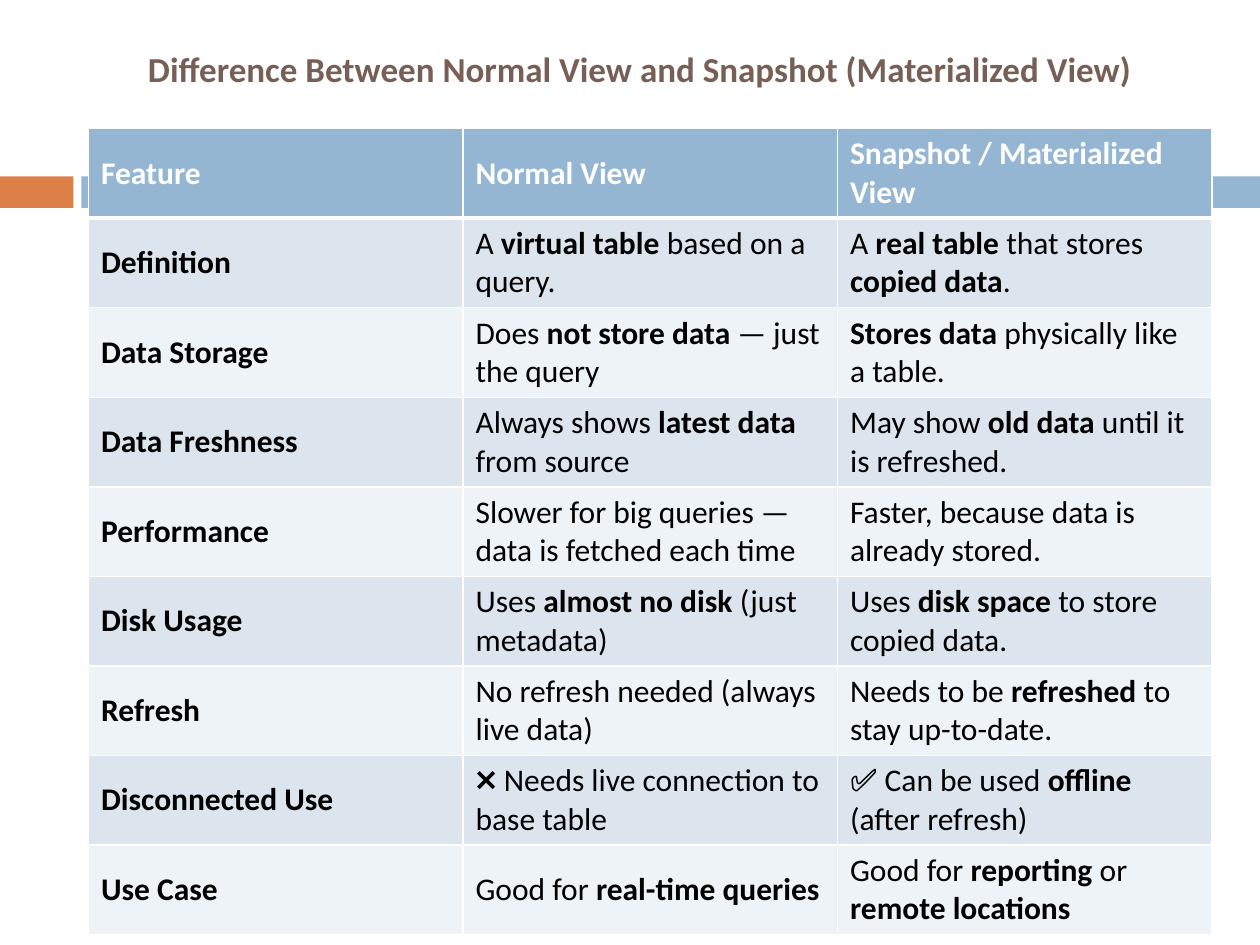
from lxml.etree import SubElement
from pptx import Presentation
from pptx.dml.color import RGBColor
from pptx.enum.shapes import MSO_SHAPE
from pptx.enum.text import MSO_ANCHOR, MSO_AUTO_SIZE, PP_ALIGN
from pptx.oxml.ns import qn
from pptx.util import Pt

COLORS = {
    "accent": "DD8047",
    "header": "94B6D2",
    "odd": "DCE5EE",
    "even": "EEF3F7",
    "heading": "775F55",
    "text": "000000",
    "white": "FFFFFF",
}

HEADINGS = ["Feature", "Normal View", "Snapshot / Materialized View"]
COMPARISON = [
    ("Definition", "A **virtual table** based on a query.",
     "A **real table** that stores **copied data**."),
    ("Data Storage", "Does **not store data** — just the query",
     "**Stores data** physically like a table."),
    ("Data Freshness", "Always shows **latest data** from source",
     "May show **old data** until it is refreshed."),
    ("Performance", "Slower for big queries — data is fetched each time",
     "Faster, because data is already stored."),
    ("Disk Usage", "Uses **almost no disk** (just metadata)",
     "Uses **disk space** to store copied data."),
    ("Refresh", "No refresh needed (always live data)",
     "Needs to be **refreshed** to stay up-to-date."),
    ("Disconnected Use", "❌ Needs live connection to base table",
     "✅ Can be used **offline** (after refresh)"),
    ("Use Case", "Good for **real-time queries**",
     "Good for **reporting** or **remote locations**"),
]


def color(name):
    return RGBColor.from_string(COLORS[name])


def write(frame, text, *, size=18, fill="text", bold=False, align=PP_ALIGN.LEFT, font="Calibri"):
    paragraph = frame.paragraphs[0]
    paragraph.alignment = align
    for index, part in enumerate(text.split("**")):
        if part:
            run = paragraph.add_run()
            run.text = part
            run.font.name = font
            run.font.size = Pt(size)
            run.font.bold = bold or index % 2 == 1
            run.font.color.rgb = color(fill)


class SlideBuilder:
    def __init__(self, slide):
        self.slide = slide

    def title(self, text, left, top, width, height):
        heading = self.slide.shapes.title
        heading.left, heading.top = Pt(left), Pt(top)
        heading.width, heading.height = Pt(width), Pt(height)
        frame = heading.text_frame
        frame.word_wrap = True
        frame.auto_size = MSO_AUTO_SIZE.NONE
        frame.vertical_anchor = MSO_ANCHOR.MIDDLE
        write(frame, text, size=20, fill="heading", bold=True, align=PP_ALIGN.CENTER)

    def band(self, fill, left, top, width, height):
        band = self.slide.shapes.add_shape(
            MSO_SHAPE.RECTANGLE, Pt(left), Pt(top), Pt(width), Pt(height))
        band.shadow.inherit = False
        band.fill.solid()
        band.fill.fore_color.rgb = color(fill)
        band.line.fill.background()

    def borders(self, cell, widths):
        properties = cell._tc.get_or_add_tcPr()
        for position, (side, width) in enumerate(widths.items()):
            line = properties.makeelement(qn(f"a:ln{side}"), {"w": str(int(Pt(width)))})
            solid = SubElement(line, qn("a:solidFill"))
            SubElement(solid, qn("a:srgbClr"), val=COLORS["white"])
            properties.insert(position, line)

    def cell(self, cell, text, background, top=1, bottom=1, **style):
        cell.fill.solid()
        cell.fill.fore_color.rgb = color(background)
        cell.vertical_anchor = MSO_ANCHOR.MIDDLE
        write(cell.text_frame, text, **style)
        self.borders(cell, {"L": 1, "R": 1, "T": top, "B": bottom})

    def table(self, headings, rows, left, top, column_width, row_height):
        count = len(rows) + 1
        table = self.slide.shapes.add_table(
            count, len(headings), Pt(left), Pt(top),
            Pt(column_width * len(headings)), Pt(row_height * count)).table
        for column in table.columns:
            column.width = Pt(column_width)
        for row in table.rows:
            row.height = Pt(row_height)
        for column, heading in enumerate(headings):
            self.cell(table.cell(0, column), heading, "header", bottom=3,
                      fill="white", bold=True)
        for number, entries in enumerate(rows, start=1):
            for column, entry in enumerate(entries):
                self.cell(table.cell(number, column), entry,
                          "odd" if number % 2 else "even",
                          top=3 if number == 1 else 1, bold=column == 0)


def main():
    presentation = Presentation()
    presentation.slide_width, presentation.slide_height = Pt(720), Pt(540)
    builder = SlideBuilder(presentation.slides.add_slide(presentation.slide_layouts[5]))
    builder.band("accent", 0, 100.8, 42, 18)
    builder.band("header", 46.5, 100.8, 673.5, 18)
    builder.title("Difference Between Normal View and Snapshot (Materialized View)",
                  44.6, 0, 642, 78)
    builder.table(HEADINGS, COMPARISON, 50.6, 73.5, 214, 50.4)
    presentation.save("out.pptx")


if __name__ == "__main__":
    main()
